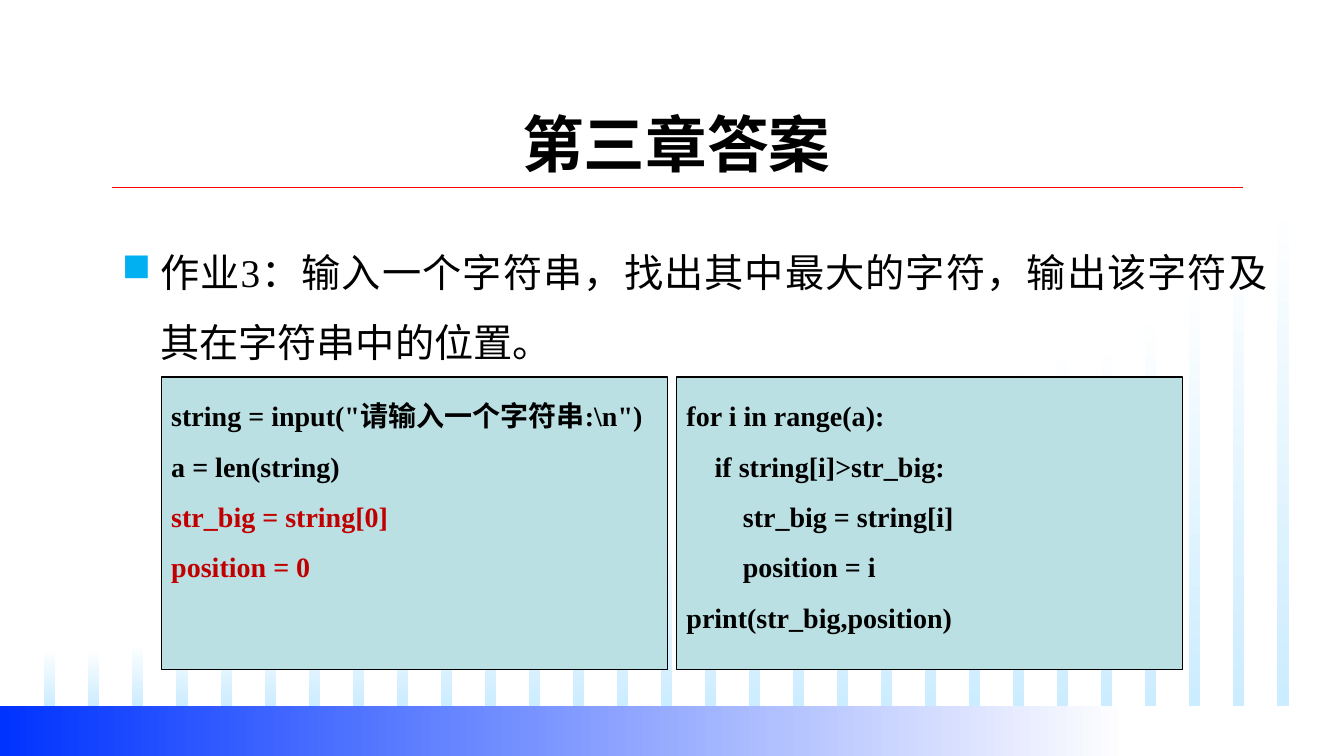
from lxml import etree
from pptx import Presentation
from pptx.dml.color import RGBColor
from pptx.enum.shapes import MSO_CONNECTOR, MSO_SHAPE
from pptx.enum.text import MSO_ANCHOR, MSO_AUTO_SIZE, PP_ALIGN
from pptx.oxml.ns import qn
from pptx.util import Inches, Pt

TITLE = "第三章答案"
TASK = "作业3：输入一个字符串，找出其中最大的字符，输出该字符及其在字符串中的位置。"
# Each code line: indent level, colour, text
CODE_BOXES = [
    [
        (0, "ink", r'string = input("请输入一个字符串:\n")'),
        (0, "ink", "a = len(string)"),
        (0, "accent", "str_big = string[0]"),
        (0, "accent", "position = 0"),
    ],
    [
        (0, "ink", "for i in range(a):"),
        (1, "ink", "if string[i]>str_big:"),
        (2, "ink", "str_big = string[i]"),
        (2, "ink", "position = i"),
        (0, "ink", "print(str_big,position)"),
    ],
]
STRIPE_TOPS = [
    6.44, 6.44, 6.38, 6.31, 6.25, 6.25, 6.12, 6.06, 5.94, 5.81,
    5.75, 5.62, 5.5, 5.38, 5.25, 5.12, 4.94, 4.75, 4.56, 4.31,
    4.12, 3.88, 3.56, 3.44, 3.38, 3.06, 2.75, 2.38, 2,
]
COLORS = {
    "ink": "000000", "accent": "C00000", "rule": "FF0000", "bullet": "00B0F0",
    "box": "BBE0E3", "white": "FFFFFF", "stripe": "CCECFF", "band": "0033FF",
}
LATIN, CJK = "Times New Roman", "Noto Sans CJK SC"

WIDTH, HEIGHT = 13.33, 7.5
BAND_TOP = 7
STRIPE_LEFT, STRIPE_RIGHT, STRIPE_WIDTH = 0.44, 12.67, 0.11
MARGIN = 1.11
BOX_LEFT, BOX_TOP, BOX_WIDTH, BOX_HEIGHT, BOX_GAP = 1.6, 3.74, 5.02, 2.9, 0.09
CODE_INDENT, BULLET_INDENT = 0.28, 0.38


def rgb(name):
    return RGBColor.from_string(COLORS[name])


def place(shape, *bounds):
    for side, length in zip(("left", "top", "width", "height"), bounds):
        setattr(shape, side, Inches(length))


def add_rect(slide, *bounds):
    rect = slide.shapes.add_shape(MSO_SHAPE.RECTANGLE, *map(Inches, bounds))
    rect.shadow.inherit = False
    return rect


def add_gradient_rect(slide, bounds, stops, angle):
    rect = add_rect(slide, *bounds)
    rect.line.fill.background()
    rect.fill.gradient()
    rect.fill.gradient_angle = angle
    for stop, color in zip(rect.fill.gradient_stops, stops):
        stop.color.rgb = rgb(color)


def write(paragraph, text, color, size, bold=False, latin=LATIN):
    run = paragraph.add_run()
    run.text = text
    for key, value in {"name": latin, "size": Pt(size), "bold": bold}.items():
        setattr(run.font, key, value)
    run.font.color.rgb = rgb(color)
    etree.SubElement(run._r.get_or_add_rPr(), qn("a:ea"), typeface=CJK)


def set_frame(frame, anchor):
    frame.word_wrap = True
    frame.auto_size = MSO_AUTO_SIZE.NONE
    frame.vertical_anchor = anchor


def justify(paragraph):
    paragraph.alignment = PP_ALIGN.JUSTIFY
    paragraph.line_spacing = 1.5


def add_background(slide):
    rule = slide.shapes.add_connector(
        MSO_CONNECTOR.STRAIGHT, *map(Inches, (MARGIN, 1.86, 12.33, 1.86)))
    rule.line.color.rgb = rgb("rule")
    rule.line.width = Pt(0.75)
    etree.SubElement(rule._element.spPr, qn("a:effectLst"))

    pitch = (STRIPE_RIGHT - STRIPE_LEFT) / (len(STRIPE_TOPS) - 1)
    for column, top in enumerate(STRIPE_TOPS):
        bounds = (STRIPE_LEFT + column * pitch, top, STRIPE_WIDTH, BAND_TOP - top)
        add_gradient_rect(slide, bounds, ("white", "stripe"), 270)
    add_gradient_rect(slide, (0, BAND_TOP, 11.18, HEIGHT - BAND_TOP), ("band", "white"), 0)


def add_title(slide):
    title = slide.shapes.title
    place(title, MARGIN, 0.91, 11.2, 1.01)
    set_frame(title.text_frame, MSO_ANCHOR.MIDDLE)
    heading = title.text_frame.paragraphs[0]
    heading.alignment = PP_ALIGN.CENTER
    write(heading, TITLE, "ink", 44, bold=True, latin=CJK)


def add_task(slide):
    task = slide.shapes.add_textbox(*map(Inches, (MARGIN, 2.18, 11.56, 2.33)))
    set_frame(task.text_frame, MSO_ANCHOR.TOP)
    paragraph = task.text_frame.paragraphs[0]
    justify(paragraph)
    props = paragraph._p.get_or_add_pPr()
    props.set("marL", str(Inches(BULLET_INDENT)))
    props.set("indent", str(-Inches(BULLET_INDENT)))
    bullet_color = etree.SubElement(props, qn("a:buClr"))
    etree.SubElement(bullet_color, qn("a:srgbClr"), val=COLORS["bullet"])
    etree.SubElement(props, qn("a:buChar"), char="■")
    write(paragraph, TASK, "ink", 28)


def add_code_box(slide, column, lines):
    left = BOX_LEFT + column * (BOX_WIDTH + BOX_GAP)
    box = add_rect(slide, left, BOX_TOP, BOX_WIDTH, BOX_HEIGHT)
    box.fill.solid()
    box.fill.fore_color.rgb = rgb("box")
    box.line.color.rgb = rgb("ink")
    box.line.width = Pt(1)
    frame = box.text_frame
    set_frame(frame, MSO_ANCHOR.TOP)
    for row, (level, color, code) in enumerate(lines):
        paragraph = frame.add_paragraph() if row else frame.paragraphs[0]
        justify(paragraph)
        paragraph._p.get_or_add_pPr().set("marL", str(Inches(level * CODE_INDENT)))
        write(paragraph, code, color, 20, bold=True)


def main():
    deck = Presentation()
    deck.slide_width, deck.slide_height = Inches(WIDTH), Inches(HEIGHT)
    slide = deck.slides.add_slide(deck.slide_layouts[5])
    add_background(slide)
    add_title(slide)
    add_task(slide)
    for column, lines in enumerate(CODE_BOXES):
        add_code_box(slide, column, lines)
    deck.save("out.pptx")


if __name__ == "__main__":
    main()
